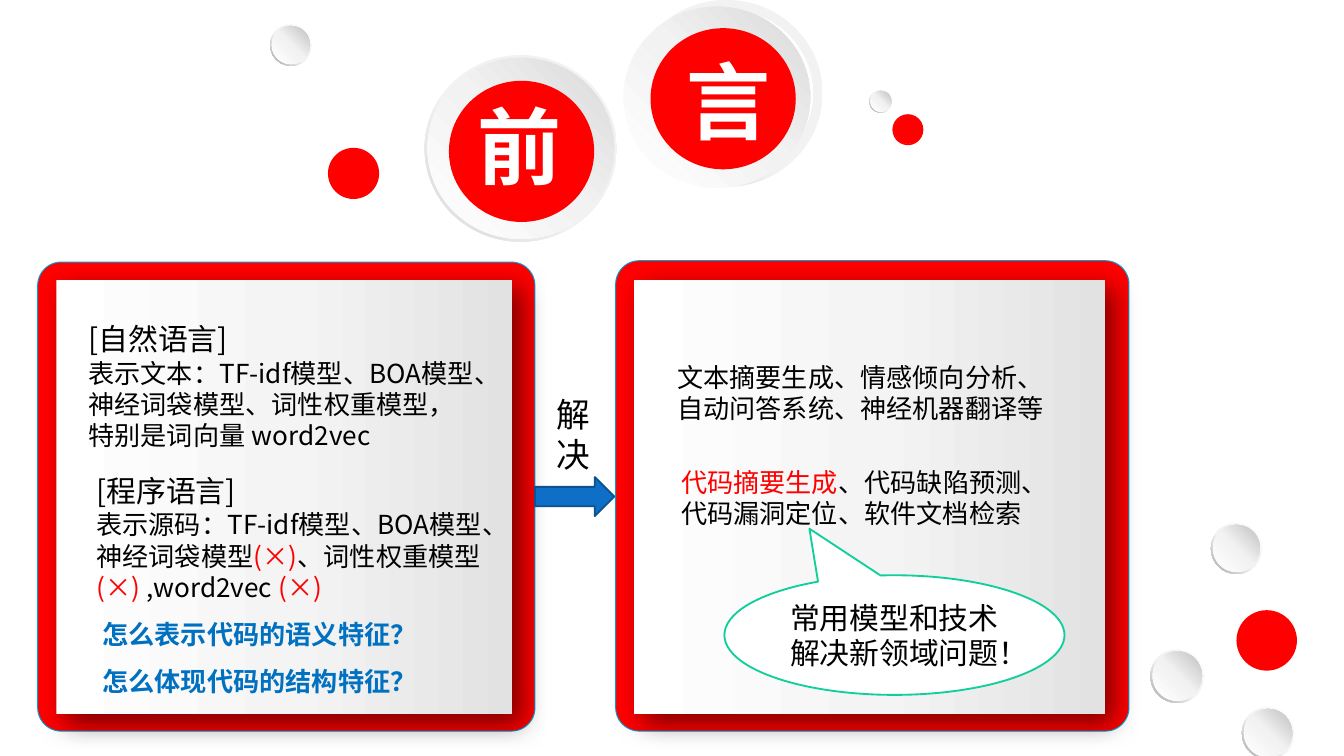
"""Build the foreword slide comparing natural and programming language work."""
import dataclasses
import typing

import lxml.etree
import pptx
import pptx.dml.color
import pptx.enum.shapes
import pptx.enum.text
import pptx.oxml.ns
import pptx.util

Pt = pptx.util.Pt
Kind = pptx.enum.shapes.MSO_SHAPE
Align = pptx.enum.text.PP_ALIGN
Anchor = pptx.enum.text.MSO_ANCHOR
qn = pptx.oxml.ns.qn

FONT = "Noto Sans CJK SC"
RED, BLACK, WHITE, BLUE = "FF0000", "000000", "FFFFFF", "0070C0"


@dataclasses.dataclass
class Box:
    x: float
    y: float
    w: float
    h: float


@dataclasses.dataclass
class Fade:
    stops: tuple
    angle: int


@dataclasses.dataclass
class Run:
    text: str
    size: float = 14
    color: str = BLACK
    bold: bool = False


@dataclasses.dataclass
class Para:
    runs: list
    align: typing.Any = Align.LEFT
    space: typing.Optional[float] = None
    indent: float = 0


@dataclasses.dataclass
class Ball:
    x: float
    y: float
    size: float
    red: bool = False


@dataclasses.dataclass
class Disc:
    ring: tuple
    face: tuple
    core: tuple


RIM = Fade(((0, "F2F2F2"), (55, "F2F2F2"), (100, "D9D9D9")), 135)
FACE = Fade(((0, WHITE), (51, "F2F2F2"), (100, "D9D9D9")), 315)
EDGE = Fade(((0, WHITE), (55, "F2F2F2"), (100, "A6A6A6")), 135)
PEARL = Fade(((0, WHITE), (51, "F2F2F2"), (100, "BFBFBF")), 315)
PAPER = Fade(((0, WHITE), (52, "F4F4F4"), (100, "E2E2E2")), 0)

DISCS = [
    Disc((227.5, 29.5), (229, 31), (240.5, 43.3)),
    Disc((337.7, 0), (334.1, 3.6), (348.5, 15.1)),
]
BALLS = [
    Ball(175.7, 79.2, 27.4, True), Ball(465.8, 48.2, 12.2),
    Ball(478.1, 61.2, 16.6, True), Ball(144.7, 13, 22.3),
    Ball(662.4, 326.9, 32.4, True), Ball(616.3, 347.8, 28.8),
    Ball(648.7, 280.1, 27.4), Ball(665.3, 378.7, 28.1),
]
CARDS = [
    (Box(20.2, 140.4, 266.4, 251.3), Box(30.2, 149.8, 244.1, 232.6)),
    (Box(329.8, 139.7, 275, 252), Box(339.8, 149.8, 252, 232.6)),
]
TEXTS = [
    (Box(360.7, 23, 59, 116.6), [Para([Run("言", 45, WHITE, True)])]),
    (Box(40.3, 168.5, 221.8, 77.8), [
        Para([Run("[自然语言]", 16)]),
        Para([Run("表示文本：TF-idf模型、BOA模型、神经词袋模型、词性权重模型，特别是词向量 word2vec")]),
    ]),
    (Box(44.6, 249.8, 221.8, 128.2), [
        Para([Run("[程序语言]", 16)]),
        Para([
            Run("表示源码：TF-idf模型、BOA模型、神经词袋模型"),
            Run("(×)", color=RED), Run("、词性权重模型"),
            Run("(×) ", color=RED), Run(",word2vec"), Run(" (×)", color=RED),
        ]),
        Para([Run("怎么表示代码的语义特征？", 14, BLUE, True)], space=1.5, indent=3.2),
        Para([Run("怎么体现代码的结构特征？", 14, BLUE, True)], space=1.5, indent=3.2),
    ]),
    (Box(290.9, 207.4, 33.1, 51.1), [Para([Run("解决", 18)])]),
    (Box(355.7, 190.1, 216, 41), [
        Para([Run("文本摘要生成、情感倾向分析、自动问答系统、神经机器翻译等")]),
    ]),
    (Box(357.8, 246.2, 216, 41), [
        Para([Run("代码摘要生成", color=RED), Run("、代码缺陷预测、")]),
        Para([Run("代码漏洞定位、软件文档检索")]),
    ]),
]


def tint(code: str) -> pptx.dml.color.RGBColor:
    return pptx.dml.color.RGBColor.from_string(code)


def node(up, tag: str, **attrs):
    return lxml.etree.SubElement(up, qn(tag), {k: str(v) for k, v in attrs.items()})


def blend(shape, fade: Fade) -> None:
    shape.fill.gradient()
    shape.fill.gradient_angle = 0
    grad = shape._element.spPr.find(qn("a:gradFill"))
    stops = grad.find(qn("a:gsLst"))
    for old in list(stops):
        stops.remove(old)
    for pos, code in fade.stops:
        node(node(stops, "a:gs", pos=pos * 1000), "a:srgbClr", val=code)
    grad.find(qn("a:lin")).set("ang", str(fade.angle * 60000))


def draw(slide, kind, box: Box, fill, line: str = "", width: float = 1, adj=()):
    shape = slide.shapes.add_shape(kind, Pt(box.x), Pt(box.y), Pt(box.w), Pt(box.h))
    shape.shadow.inherit = False
    for num, value in enumerate(adj):
        shape.adjustments[num] = value
    if isinstance(fill, Fade):
        blend(shape, fill)
    else:
        shape.fill.solid()
        shape.fill.fore_color.rgb = tint(fill)
    if line:
        shape.line.color.rgb = tint(line)
        shape.line.width = Pt(width)
    else:
        shape.line.fill.background()
    return shape


def shade(shape) -> None:
    list_ = shape._element.spPr.find(qn("a:effectLst"))
    drop = node(list_, "a:outerShdw", blurRad=Pt(14), dist=Pt(7),
                dir=45 * 60000, algn="tl", rotWithShape=0)
    node(node(drop, "a:srgbClr", val=BLACK), "a:alpha", val=50000)


def write(frame, paras: list, anchor=Anchor.TOP) -> None:
    frame.word_wrap = True
    frame.vertical_anchor = anchor
    for num, para in enumerate(paras):
        item = frame.add_paragraph() if num else frame.paragraphs[0]
        item.alignment = para.align
        if para.space:
            item.line_spacing = para.space
        if para.indent:
            item._p.get_or_add_pPr().set("marL", str(Pt(para.indent)))
        for part in para.runs:
            run = item.add_run()
            run.text = part.text
            run.font.size = Pt(part.size)
            run.font.bold = part.bold
            run.font.color.rgb = tint(part.color)
            run.font.name = FONT
            node(run._r.rPr, "a:ea", typeface=FONT)


def orb(slide, ball: Ball) -> None:
    gap = ball.size * 0.04
    side = ball.size - 2 * gap
    draw(slide, Kind.DONUT, Box(ball.x, ball.y, ball.size, ball.size),
         RED if ball.red else EDGE, adj=(0.05,))
    draw(slide, Kind.OVAL, Box(ball.x + gap, ball.y + gap, side, side),
         RED if ball.red else PEARL)


def medal(slide, disc: Disc) -> None:
    draw(slide, Kind.DONUT, Box(*disc.ring, 103, 100), RIM, adj=(0.05,))
    draw(slide, Kind.OVAL, Box(*disc.face, 100, 97), FACE)
    draw(slide, Kind.OVAL, Box(*disc.core, 77.8, 75.6), RED)


def main() -> None:
    deck = pptx.Presentation()
    deck.slide_width, deck.slide_height = Pt(720), Pt(405)
    slide = deck.slides.add_slide(deck.slide_layouts[5])
    for disc in DISCS:
        medal(slide, disc)
    for ball in BALLS:
        orb(slide, ball)
    title = slide.shapes.title
    title.left, title.top, title.width, title.height = Pt(248.4), Pt(46.8), Pt(72), Pt(62)
    write(title.text_frame, [Para([Run("前", 45, WHITE, True)])])
    slide.shapes._spTree.append(title._element)
    for frame, sheet in CARDS:
        draw(slide, Kind.ROUNDED_RECTANGLE, frame, RED, "009DD9", 0.5, (0.05,))
        shade(draw(slide, Kind.ROUNDED_RECTANGLE, sheet, PAPER, adj=(0,)))
    draw(slide, Kind.RIGHT_ARROW, Box(286.6, 255.6, 42.5, 20.9), "0F6FC6", "0B5292")
    for box, paras in TEXTS:
        text = slide.shapes.add_textbox(Pt(box.x), Pt(box.y), Pt(box.w), Pt(box.h))
        write(text.text_frame, paras)
    note = draw(slide, Kind.OVAL_CALLOUT, Box(388.1, 308.2, 182.2, 64.1),
                WHITE, "10CF9B", 1, (-0.25, -0.89))
    write(note.text_frame, [Para([Run("常用模型和技术解决新领域问题！", 16)], Align.CENTER)],
          Anchor.MIDDLE)
    deck.save("out.pptx")


if __name__ == "__main__":
    main()
